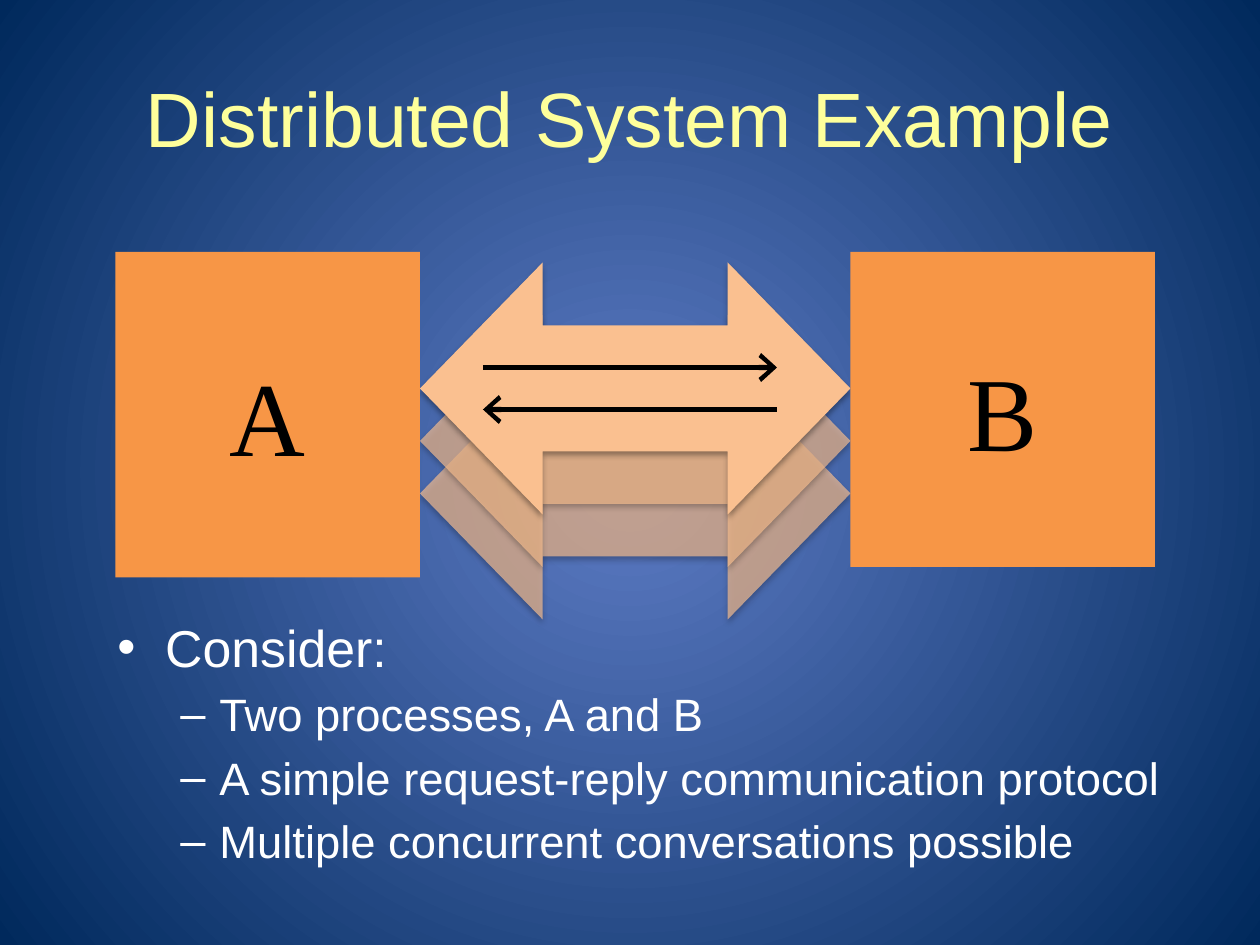
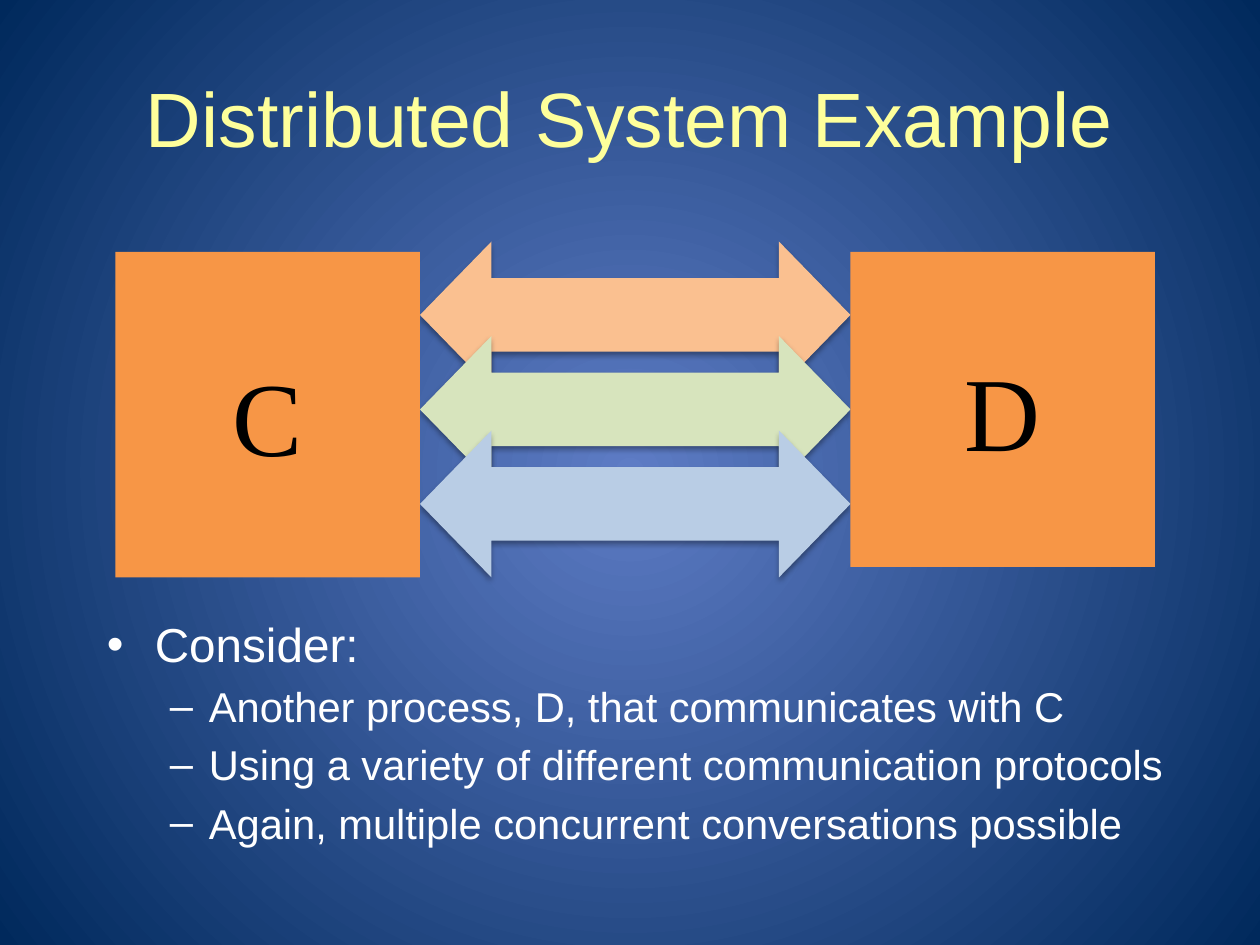
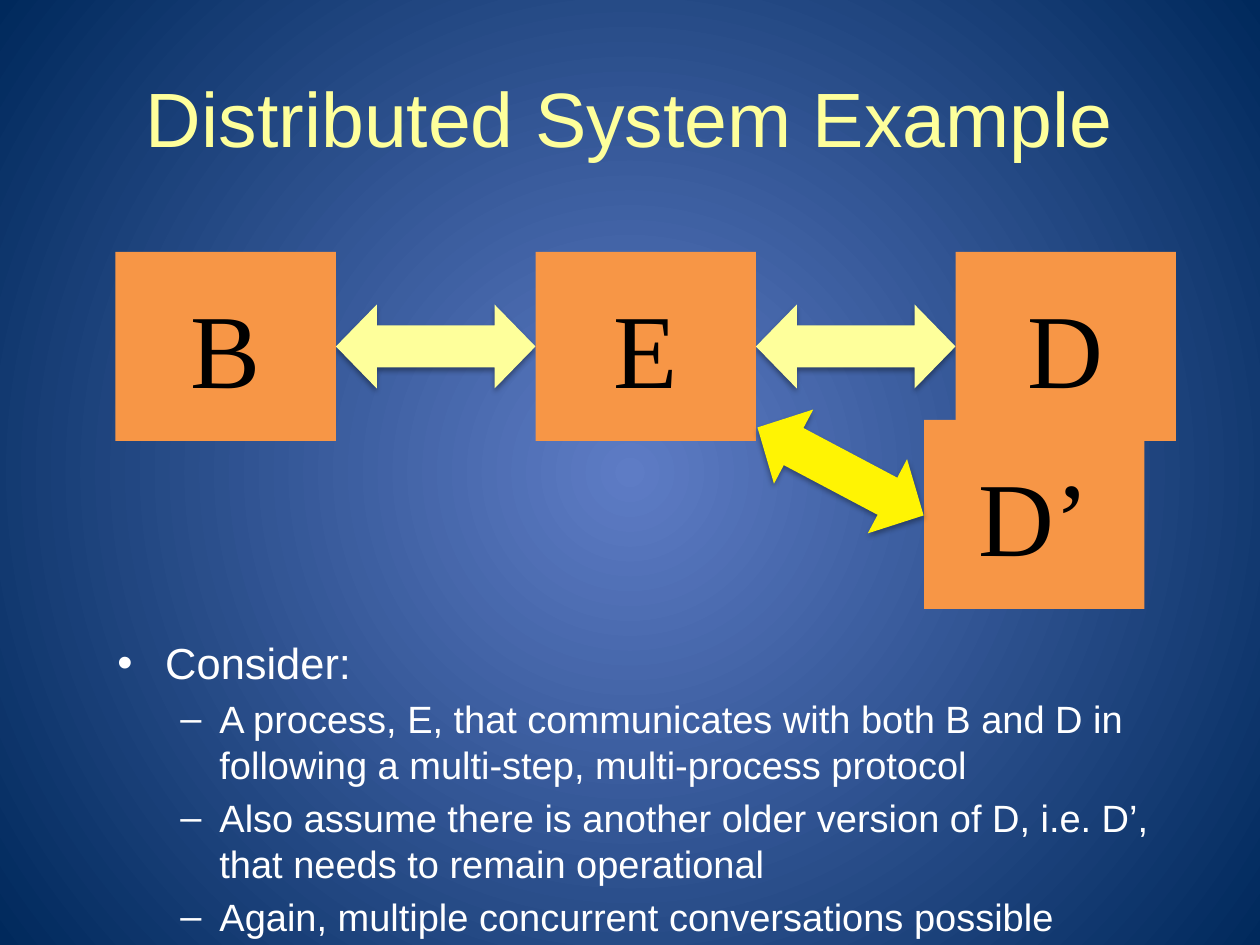
"""Build three slides showing processes that exchange messages in a distributed system."""
from pptx import Presentation, util as u
from pptx.dml.color import RGBColor
from pptx.enum import shapes, text
from pptx.oxml import parse_xml
from pptx.oxml.ns import nsdecls

WHITE, BLACK = RGBColor(255, 255, 255), RGBColor(0, 0, 0)
GLOW, NAVY = RGBColor(0x5E, 0x7C, 0xC5), RGBColor(0x00, 0x29, 0x5C)
ORANGE, PEACH = RGBColor(0xF7, 0x96, 0x46), RGBColor(0xFA, 0xC0, 0x90)
GREEN, BLUE = RGBColor(0xD7, 0xE4, 0xBD), RGBColor(0xB9, 0xCD, 0xE5)
CREAM, YELLOW = RGBColor(0xFE, 0xFF, 0x9B), RGBColor(0xFF, 0xF4, 0x03)
BODY_FONT, BOX_FONT = "Arial", "Times New Roman"

COLS, ROWS = 120, 90
CELL = u.Inches(10) // COLS
TITLE = "Distributed System Example"
LEAD = "Consider:"
BULLETS = [("•", 0.38, 0.38), ("–", 0.81, 0.31)]
PAIR = [(11, 24, 29, 31), (81, 24, 29, 30)]

SLIDES = [
    {
        "boxes": dict(zip("AB", PAIR)),
        "links": [("A", "B", 35, 24, PEACH, 68), ("A", "B", 30, 24, PEACH, 67),
                  ("A", "B", 25, 24, PEACH, 100)],
        "messages": [(46, 74, 35), (74, 46, 39)],
        "body": (10, 58, 102, 27),
        "sizes": (29.6, 25.9),
        "points": ["Two processes, A and B",
                   "A simple request-reply communication protocol",
                   "Multiple concurrent conversations possible"],
    },
    {
        "boxes": dict(zip("CD", PAIR)),
        "links": [("C", "D", 23 + 9 * i, 14, color, 100)
                  for i, color in enumerate((PEACH, GREEN, BLUE))],
        "body": (9, 58, 104, 27),
        "sizes": (27.2, 23.8),
        "points": ["Another process, D, that communicates with C",
                   "Using a variety of different communication protocols",
                   "Again, multiple concurrent conversations possible"],
    },
    {
        "boxes": {"B": (11, 24, 21, 18), "E": (51, 24, 21, 18),
                  "D": (91, 24, 21, 18), "D’": (88, 40, 21, 18)},
        "links": [("B", "E", 29, 8, CREAM, 100), ("E", "D", 29, 8, CREAM, 100)],
        "slanted": (71.1, 40.9, 17.9, 8, 27.9),
        "body": (10, 60, 102, 27),
        "sizes": (24.8, 21.7),
        "points": ["A process, E, that communicates with both B and D in "
                   "following a multi-step, multi-process protocol",
                   "Also assume there is another older version of D, i.e. D’, "
                   "that needs to remain operational",
                   "Again, multiple concurrent conversations possible"],
    },
]


def xml(tag, attrs="", inner=""):
    return parse_xml(f"<a:{tag} {nsdecls('a')} {attrs}>{inner}</a:{tag}>")


def cells(*lengths):
    return [round(n * CELL) for n in lengths]


def add_run(p, words, size, font, color):
    r = p.add_run()
    r.text = words
    r.font.size, r.font.name = u.Pt(size), font
    r.font.color.rgb = color


def set_background(master):
    fill = master.background.fill
    fill.gradient()
    for stop, color in zip(fill.gradient_stops, (GLOW, NAVY)):
        stop.color.rgb = color
    grad = master.element.xpath(".//p:bg//a:gradFill")[0]
    middle = '<a:fillToRect l="50000" t="50000" r="50000" b="50000"/>'
    grad.replace(grad.xpath("a:lin")[0], xml("path", 'path="circle"', middle))


def add_block(s, kind, box, color):
    sp = s.shapes.add_shape(kind, *cells(*box))
    sp.shadow.inherit = False
    sp.fill.solid()
    sp.fill.fore_color.rgb = color
    sp.line.fill.background()
    return sp


def add_process(s, name, box):
    sp = add_block(s, shapes.MSO_SHAPE.RECTANGLE, box, ORANGE)
    tf = sp.text_frame
    tf.vertical_anchor = text.MSO_ANCHOR.MIDDLE
    p = tf.paragraphs[0]
    p.alignment = text.PP_ALIGN.CENTER
    add_run(p, name, 60, BOX_FONT, BLACK)


def add_link(s, box, color, opacity=100, angle=0):
    sp = add_block(s, shapes.MSO_SHAPE.LEFT_RIGHT_ARROW, box, color)
    sp.adjustments[0], sp.adjustments[1] = 0.5, 0.487
    sp.rotation = angle
    props = sp._element.spPr
    if opacity < 100:
        props.xpath("a:solidFill/a:srgbClr")[0].append(xml("alpha", f'val="{opacity * 1000}"'))
    shade = '<a:srgbClr val="000000"><a:alpha val="35000"/></a:srgbClr>'
    props.xpath("a:effectLst")[0].append(
        xml("outerShdw", 'blurRad="40000" dist="23000" dir="5400000" rotWithShape="0"', shade))


def add_message(s, start, end, row):
    line = s.shapes.add_connector(shapes.MSO_CONNECTOR.STRAIGHT, *cells(start, row, end, row))
    line.line.color.rgb = BLACK
    line.line.width = u.Pt(3)
    line.line._get_or_add_ln().append(xml("tailEnd", 'type="arrow" w="lg"'))
    line._element.spPr.append(xml("effectLst"))


def add_points(s, box, sizes, points):
    tf = s.shapes.add_textbox(*cells(*box)).text_frame
    tf.word_wrap = True
    for i, words in enumerate([LEAD] + points):
        p = tf.paragraphs[0] if i == 0 else tf.add_paragraph()
        p.level = min(i, 1)
        mark, left, hang = BULLETS[p.level]
        props = p._p.get_or_add_pPr()
        props.set("marL", str(u.Inches(left)))
        props.set("indent", str(-u.Inches(hang)))
        props.append(xml("spcBef", inner='<a:spcPct val="20000"/>'))
        props.append(xml("buFont", f'typeface="{BODY_FONT}"'))
        props.append(xml("buChar", f'char="{mark}"'))
        add_run(p, words, sizes[p.level], BODY_FONT, WHITE)


def add_slide(prs, content):
    s = prs.slides.add_slide(prs.slide_layouts.get_by_name("Title Only"))
    title = s.shapes.title
    title.left, title.top, title.width, title.height = cells(6, 3.6, 108, 15)
    add_run(title.text_frame.paragraphs[0], TITLE, 44, BODY_FONT, CREAM)
    boxes = content["boxes"]
    for first, second, top, height, color, opacity in content["links"]:
        left = boxes[first][0] + boxes[first][2]
        add_link(s, (left, top, boxes[second][0] - left, height), color, opacity)
    for name, box in boxes.items():
        add_process(s, name, box)
    for message in content.get("messages", []):
        add_message(s, *message)
    if "slanted" in content:
        *box, angle = content["slanted"]
        add_link(s, box, YELLOW, angle=angle)
    add_points(s, content["body"], content["sizes"], content["points"])


def main():
    prs = Presentation()
    prs.slide_width, prs.slide_height = cells(COLS, ROWS)
    set_background(prs.slide_master)
    for content in SLIDES:
        add_slide(prs, content)
    prs.save("out.pptx")


if __name__ == "__main__":
    main()
